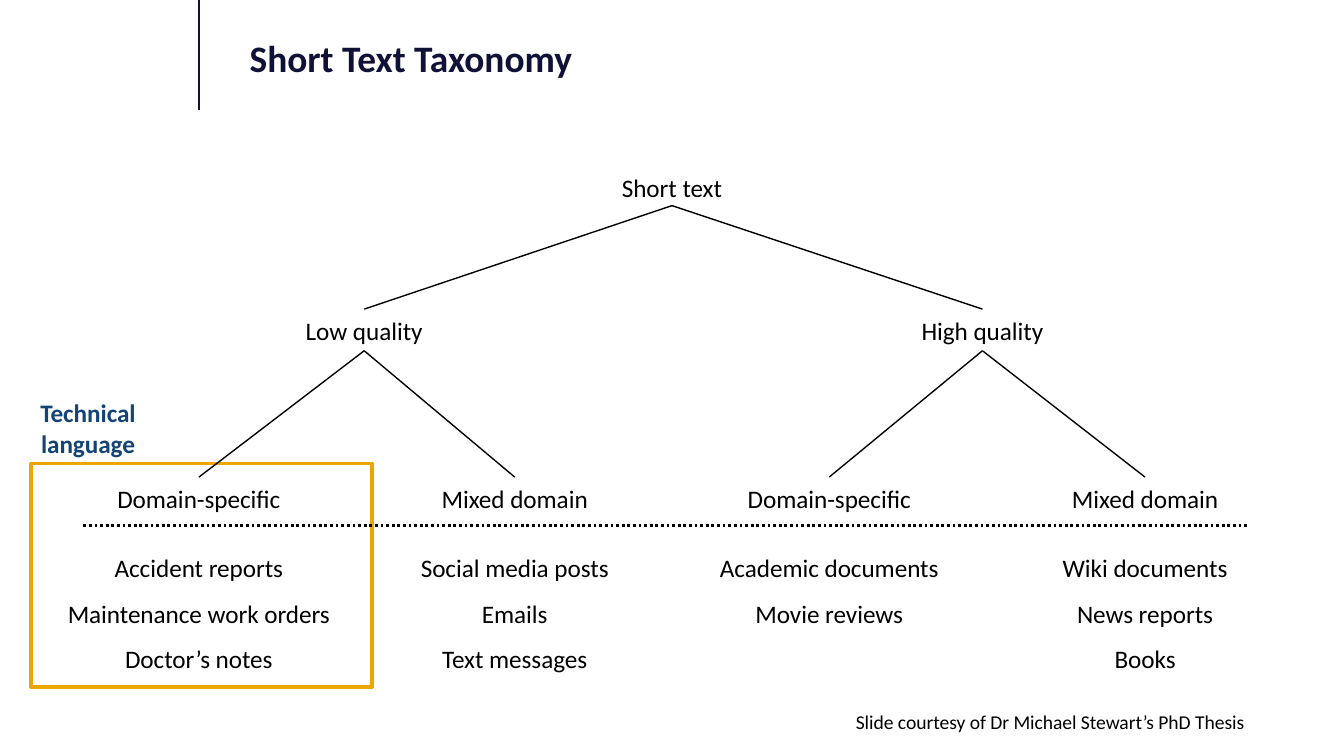
from lxml import etree
from pptx import Presentation
from pptx.dml.color import RGBColor
from pptx.enum.dml import MSO_LINE
from pptx.enum.shapes import MSO_CONNECTOR, MSO_SHAPE
from pptx.enum.text import PP_ALIGN as Align
from pptx.oxml.ns import qn
from pptx.util import Inches, Pt

NAVY = RGBColor(0x0F, 0x11, 0x37)
BLUE = RGBColor(0x14, 0x43, 0x76)
GOLD = RGBColor(0xEB, 0xA7, 0x00)
BLACK = RGBColor(0, 0, 0)
WHITE = RGBColor(0xFF, 0xFF, 0xFF)

# Widescreen slide, 16:9
presentation = Presentation()
presentation.slide_width = Inches(10)
presentation.slide_height = Inches(10 * 9 / 16)
slide = presentation.slides.add_slide(presentation.slide_layouts[6])


def add_text(lines, left, top, width, height, size=13.5, color=BLACK,
             bold=False, align=Align.CENTER, spacing=1.0):
    box = slide.shapes.add_textbox(Inches(left), Inches(top), Inches(width), Inches(height))
    frame = box.text_frame
    frame.word_wrap = True
    for index, line in enumerate(lines):
        paragraph = frame.add_paragraph() if index else frame.paragraphs[0]
        paragraph.alignment = align
        paragraph.line_spacing = spacing
        run = paragraph.add_run()
        run.text = line
        run.font.name = "Calibri"
        run.font.size = Pt(size)
        run.font.bold = bold
        run.font.color.rgb = color


def add_line(x1, y1, x2, y2, width=0.75, color=BLACK):
    line = slide.shapes.add_connector(
        MSO_CONNECTOR.STRAIGHT, Inches(x1), Inches(y1), Inches(x2), Inches(y2))
    line.line.color.rgb = color
    line.line.width = Pt(width)
    etree.SubElement(line._element.spPr, qn("a:effectLst"))
    return line


# Title with its vertical rule
add_line(1.48, 0.82, 1.48, 0, 1.25, NAVY)
add_text(["Short Text Taxonomy"], 1.76, 0.21, 7.6, 0.49, size=20, color=NAVY,
         bold=True, align=Align.LEFT)

# Highlight around the technical language column
highlight = slide.shapes.add_shape(
    MSO_SHAPE.RECTANGLE, Inches(0.23), Inches(3.45), Inches(2.54), Inches(1.66))
highlight.shadow.inherit = False
highlight.fill.solid()
highlight.fill.fore_color.rgb = WHITE
highlight.line.color.rgb = GOLD
highlight.line.width = Pt(2)
add_text(["Technical language"], -0.09, 2.91, 1.49, 0.56, color=BLUE, bold=True)

# Tree nodes: label, centre, examples
ROOT_X = 5
BRANCHES = [("Low quality", 2.71), ("High quality", 7.31)]
LEAVES = [
    ("Domain-specific", 1.48, ["Accident reports", "Maintenance work orders", "Doctor’s notes"]),
    ("Mixed domain", 3.83, ["Social media posts", "Emails", "Text messages"]),
    ("Domain-specific", 6.17, ["Academic documents", "Movie reviews"]),
    ("Mixed domain", 8.52, ["Wiki documents", "News reports", "Books"]),
]
NODE_WIDTH, NODE_HEIGHT = 2.23, 0.33
LIST_WIDTH = 2.46

nodes = [("Short text", ROOT_X, 1.23)]
nodes += [(label, x, 2.3) for label, x in BRANCHES]
nodes += [(label, x, 3.55) for label, x, _ in LEAVES]
for label, x, top in nodes:
    add_text([label], x - NODE_WIDTH / 2, top, NODE_WIDTH, NODE_HEIGHT)

# Tree edges, two leaves below each branch
for index, (_, branch_x) in enumerate(BRANCHES):
    add_line(ROOT_X, 1.53, branch_x, 2.3)
    for _, leaf_x, _ in LEAVES[2 * index:2 * index + 2]:
        add_line(branch_x, 2.61, leaf_x, 3.55)

# Dotted divider and the examples below it
divider = add_line(0.62, 3.91, 9.29, 3.91, 1.5)
divider.line.dash_style = MSO_LINE.ROUND_DOT
for _, x, examples in LEAVES:
    add_text(examples, x - LIST_WIDTH / 2, 3.95, LIST_WIDTH,
             0.1 + 0.34 * len(examples), spacing=1.5)

# Credit line
add_text(["Slide courtesy of Dr Michael Stewart’s PhD Thesis"],
         0.51, 5.23, 8.85, 0.24, size=10.5, align=Align.RIGHT)

presentation.save("out.pptx")
